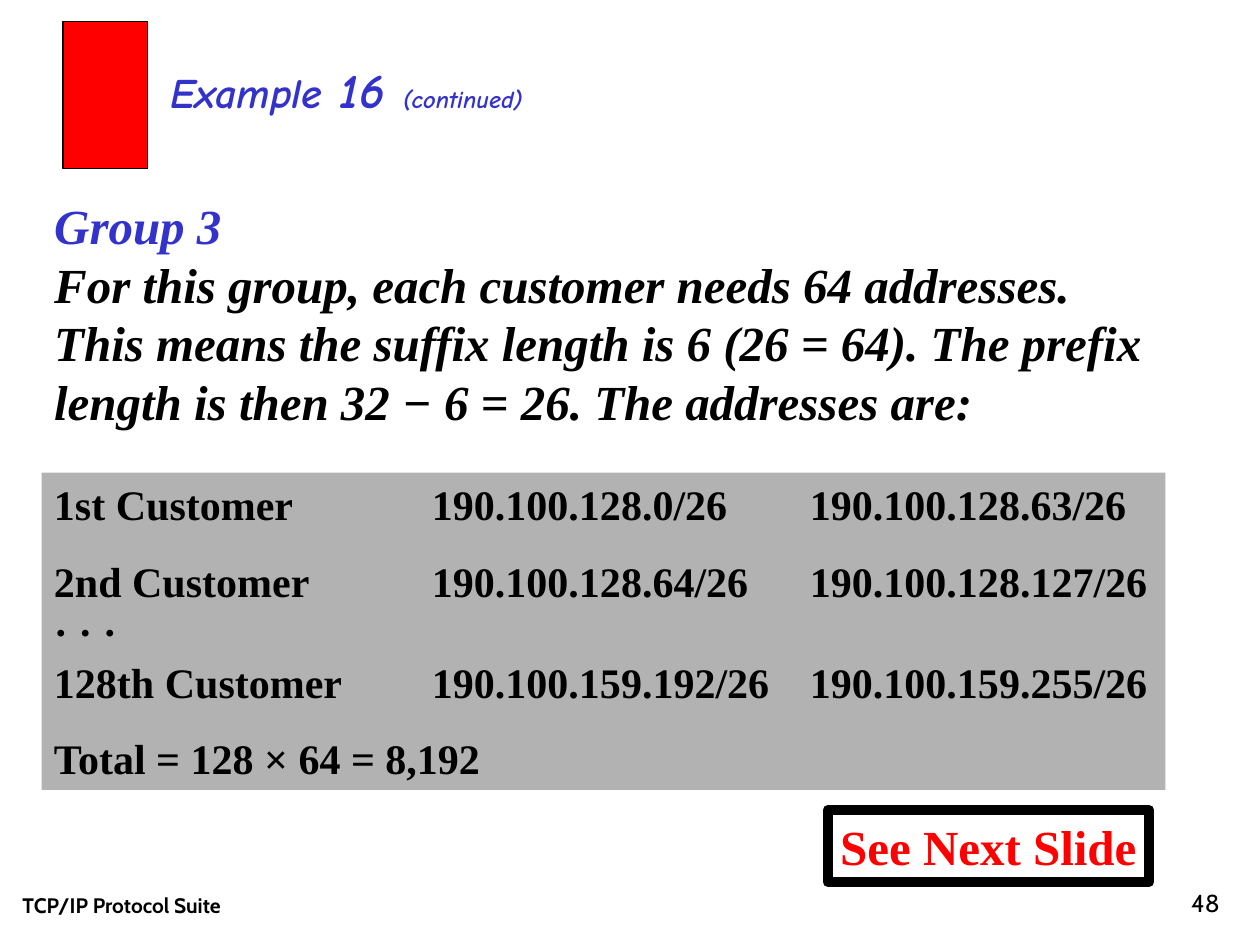
from pptx import Presentation
from pptx.dml.color import RGBColor
from pptx.enum.shapes import MSO_SHAPE
from pptx.enum.text import MSO_ANCHOR, MSO_AUTO_SIZE, PP_ALIGN
from pptx.oxml.xmlchemy import OxmlElement
from pptx.util import Inches, Pt

BLACK = RGBColor(0x00, 0x00, 0x00)
BLUE = RGBColor(0x33, 0x33, 0xCC)
RED = RGBColor(0xFF, 0x00, 0x00)
GRAY = RGBColor(0xB2, 0xB2, 0xB2)
WHITE = RGBColor(0xFF, 0xFF, 0xFF)


def add_text(paragraph, text, name, size, color, bold=True, italic=False):
    for index, line in enumerate(text.split("\n")):
        if index:
            paragraph.add_line_break()
        if line:
            run = paragraph.add_run()
            run.text = line
            values = {"name": name, "size": Pt(size), "bold": bold, "italic": italic}
            for attribute, value in values.items():
                setattr(run.font, attribute, value)
            run.font.color.rgb = color


def format_frame(shape, box, anchor=MSO_ANCHOR.TOP, wrap=True):
    shape.left, shape.top, shape.width, shape.height = (Inches(length) for length in box)
    values = {
        "margin_left": Inches(0.1), "margin_right": Inches(0.1),
        "margin_top": Inches(0.05), "margin_bottom": Inches(0.05),
        "vertical_anchor": anchor, "word_wrap": wrap,
        "auto_size": MSO_AUTO_SIZE.NONE,
    }
    for attribute, value in values.items():
        setattr(shape.text_frame, attribute, value)
    shape.text_frame.paragraphs[0].alignment = PP_ALIGN.LEFT
    return shape.text_frame


presentation = Presentation()
presentation.slide_width = Inches(10)
presentation.slide_height = Inches(7.5)
slide = presentation.slides.add_slide(presentation.slide_layouts[1])
for placeholder in list(slide.placeholders)[2:]:
    placeholder.element.getparent().remove(placeholder.element)

footers = [
    ("TCP/IP Protocol Suite", (0.08, 6.83, 3.17, 0.5), 12, True, PP_ALIGN.LEFT),
    ("48", (7.7, 6.83, 2.08, 0.5), 14, False, PP_ALIGN.RIGHT),
]
for text, box, size, bold, alignment in footers:
    shape = slide.shapes.add_textbox(0, 0, 0, 0)
    paragraph = format_frame(shape, box, MSO_ANCHOR.BOTTOM).paragraphs[0]
    paragraph.alignment = alignment
    add_text(paragraph, text, "Cabin", size, BLACK, bold)

title = format_frame(slide.shapes.title, (1.25, 0.42, 5.25, 0.57)).paragraphs[0]
for text, size in [("Example", 24), (" 16 ", 28), ("(continued)", 14)]:
    add_text(title, text, "Comic Neue", size, BLUE, italic=True)

body = format_frame(slide.placeholders[1], (0.33, 1.5, 8.92, 1.97)).paragraphs[0]
body.space_before = Pt(17.5)
properties = body._p.get_or_add_pPr()
properties.set("marL", "0")
properties.set("indent", "0")
properties.append(OxmlElement("a:buNone"))
explanation = (
    "For this group, each customer needs 64 addresses. "
    "This means the suffix length is 6 (26 = 64). "
    "The prefix length is then 32 − 6 = 26. The addresses are:"
)
add_text(body, "Group 3 \n", "Times New Roman", 28, BLUE, italic=True)
add_text(body, explanation, "Times New Roman", 28, BLACK, italic=True)

rectangles = {}
for name, box, fill, line_width in [
    ("next", (6.57, 6.43, 2.55, 0.57), WHITE, 6),
    ("marker", (0.5, 0.17, 0.67, 1.17), RED, 0.75),
    ("addresses", (0.33, 3.75, 8.92, 2.52), GRAY, 0),
]:
    shape = slide.shapes.add_shape(MSO_SHAPE.RECTANGLE, 0, 0, 0, 0)
    shape.shadow.inherit = False
    shape.fill.solid()
    shape.fill.fore_color.rgb = fill
    if line_width:
        shape.line.color.rgb = BLACK
        shape.line.width = Pt(line_width)
    else:
        shape.line.fill.background()
    rectangles[name] = format_frame(shape, box, wrap=name != "next")

add_text(rectangles["next"].paragraphs[0], "See Next Slide", "Times New Roman", 28, RED)

address_lines = [
    "1st Customer \t190.100.128.0/26 \t190.100.128.63/26",
    "2nd Customer \t190.100.128.64/26 \t190.100.128.127/26\n"
    "· · ·\n"
    "128th Customer \t190.100.159.192/26 \t190.100.159.255/26",
    "Total = 128 × 64 = 8,192",
]
frame = rectangles["addresses"]
for index, text in enumerate(address_lines):
    paragraph = frame.add_paragraph() if index else frame.paragraphs[0]
    paragraph.alignment = PP_ALIGN.LEFT
    paragraph.space_before = Pt(15)
    tab_list = OxmlElement("a:tabLst")
    for position in (3, 6):
        tab = OxmlElement("a:tab")
        tab.set("pos", str(Inches(position)))
        tab.set("algn", "l")
        tab_list.append(tab)
    paragraph._p.get_or_add_pPr().append(tab_list)
    add_text(paragraph, text, "Times New Roman", 24, BLACK)

presentation.save("out.pptx")
